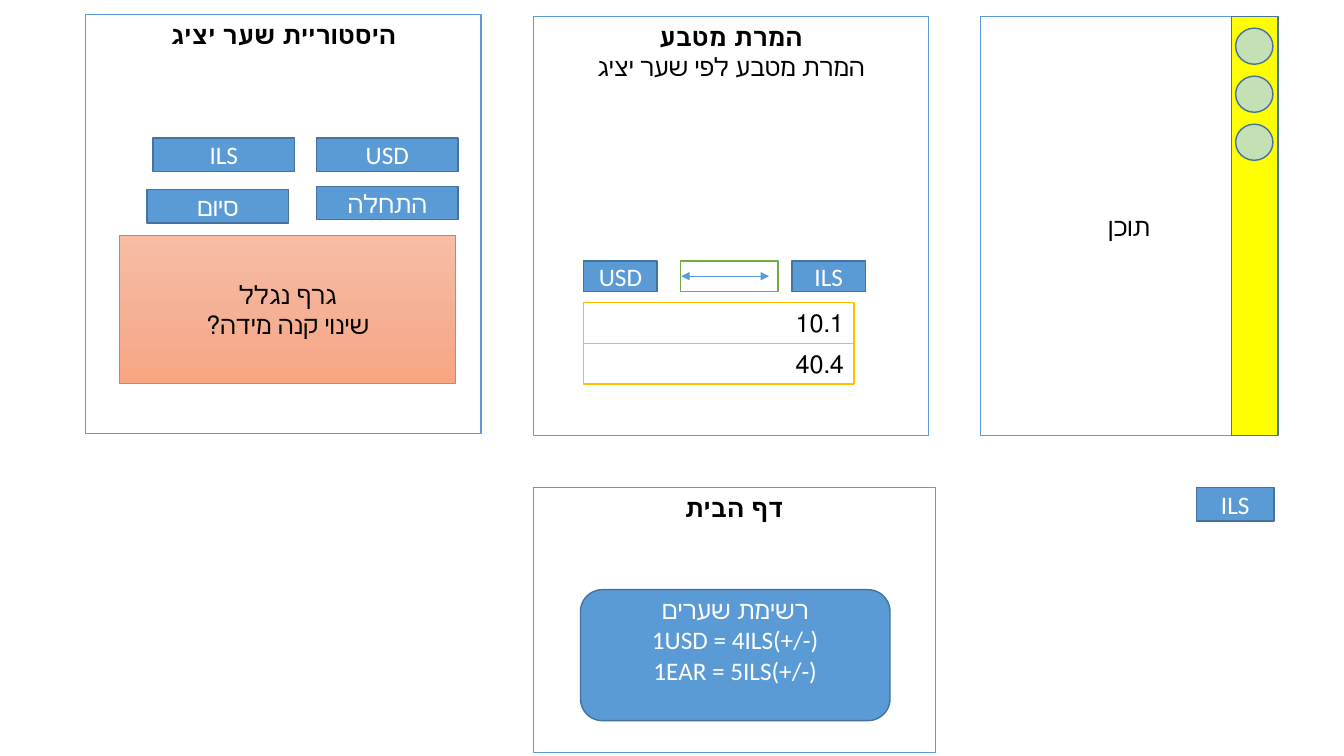
from copy import deepcopy

from lxml import etree
from pptx import Presentation
from pptx import util as u
from pptx.dml.color import RGBColor
from pptx.enum import lang, shapes, text
from pptx.oxml import ns

WHITE = RGBColor(0xFF, 0xFF, 0xFF)
BLACK = RGBColor(0x00, 0x00, 0x00)
BLUE = RGBColor(0x5B, 0x9B, 0xD5)
DARK_BLUE = RGBColor(0x43, 0x73, 0x9E)
YELLOW = RGBColor(0xFF, 0xFF, 0x00)
MINT = RGBColor(0xC5, 0xE0, 0xB4)
GREEN = RGBColor(0x70, 0xAD, 0x47)
GOLD = RGBColor(0xFF, 0xC0, 0x00)
ORANGE = RGBColor(0xED, 0x7D, 0x31)
GRAPH_TOP = RGBColor(0xF7, 0xBD, 0xA5)
GRAPH_MIDDLE = RGBColor(0xF5, 0xB1, 0x96)
GRAPH_BOTTOM = RGBColor(0xF8, 0xA5, 0x82)

KIND = shapes.MSO_SHAPE
TOP, MIDDLE = text.MSO_ANCHOR.TOP, text.MSO_ANCHOR.MIDDLE
CENTER, RIGHT = text.PP_ALIGN.CENTER, text.PP_ALIGN.RIGHT


class Wireframe:
    font = {"name": "Calibri", "size": u.Pt(18),
            "language_id": lang.MSO_LANGUAGE_ID.HEBREW}

    def __init__(self, s):
        self.s = s

    def shape(self, box, fill, line, kind=KIND.RECTANGLE, width=1):
        sp = self.s.shapes.add_shape(kind, *map(u.Cm, box))
        sp.shadow.inherit = False
        if fill is None:
            sp.fill.background()
        else:
            sp.fill.solid()
            sp.fill.fore_color.rgb = fill
        sp.line.color.rgb = line
        sp.line.width = u.Pt(width)
        return sp

    def label(self, sp, lines, color=BLACK, anchor=MIDDLE, align=CENTER, bold_first=False):
        tf = sp.text_frame
        tf.word_wrap = True
        tf.vertical_anchor = anchor
        for i, line in enumerate(lines):
            p = tf.add_paragraph() if i else tf.paragraphs[0]
            p.alignment = align
            if "=" not in line:
                p._p.get_or_add_pPr().set("rtl", "1")
            r = p.add_run()
            r.text = line
            for key, value in {**self.font, "bold": bold_first and i == 0}.items():
                setattr(r.font, key, value)
            r.font.color.rgb = color

    def panel(self, box, *lines):
        sp = self.shape(box, WHITE, BLUE)
        self.label(sp, lines, anchor=TOP, bold_first=True)

    def button(self, box, caption):
        self.label(self.shape(box, BLUE, DARK_BLUE), [caption], WHITE)

    def field(self, box, value):
        self.label(self.shape(box, WHITE, GOLD), [value], anchor=TOP, align=RIGHT)

    def graph(self, box, *lines):
        sp = self.shape(box, GRAPH_TOP, ORANGE, width=0.5)
        sp.fill.gradient()
        sp.fill.gradient_angle = 270
        gs = sp._element.spPr.find(".//" + ns.qn("a:gs"))
        gs.addnext(deepcopy(gs))
        stops = zip(sp.fill.gradient_stops, (0, 0.5, 1),
                    (GRAPH_TOP, GRAPH_MIDDLE, GRAPH_BOTTOM))
        for stop, position, color in stops:
            stop.position = position
            stop.color.rgb = color
        self.label(sp, lines)

    def rates(self, box, *lines):
        sp = self.shape(box, BLUE, DARK_BLUE, KIND.ROUNDED_RECTANGLE)
        self.label(sp, lines, WHITE)
        sp.text_frame.margin_bottom = u.Cm(0.9)

    def double_arrow(self, x1, x2, y):
        cx = self.s.shapes.add_connector(
            shapes.MSO_CONNECTOR.STRAIGHT, *map(u.Cm, (x1, y, x2, y)))
        cx.line.color.rgb = BLUE
        cx.line.width = u.Pt(0.5)
        ln = cx.line._get_or_add_ln()
        for end in ("a:headEnd", "a:tailEnd"):
            etree.SubElement(ln, ns.qn(end), type="triangle")
        etree.SubElement(cx._element.spPr, ns.qn("a:effectLst"))


prs = Presentation()
prs.slide_width, prs.slide_height = u.Cm(33.87), u.Cm(19.05)
w = Wireframe(prs.slides.add_slide(prs.slide_layouts[6]))

content = w.shape((24.71, 0.41, 7.49, 10.57), WHITE, BLUE)
w.label(content, ["תוכן"])
w.shape((31.04, 0.41, 1.17, 10.57), YELLOW, DARK_BLUE)
for i in range(3):
    w.shape((31.14, 0.71 + 1.21 * i, 0.94, 0.91), MINT, DARK_BLUE, KIND.OVAL)

w.panel((13.44, 0.41, 9.96, 10.57), "המרת מטבע", "המרת מטבע לפי שער יציג")
for x, currency in ((14.71, "USD"), (19.96, "ILS")):
    w.button((x, 6.58, 1.85, 0.76), currency)
w.double_arrow(17.17, 19.38, 6.96)
w.shape((17.15, 6.58, 2.46, 0.76), None, GREEN)
for i, amount in enumerate(("10.1", "40.4")):
    w.field((14.71, 7.62 + 1.03 * i, 6.81, 1.03), amount)

w.panel((2.16, 0.36, 9.96, 10.57), "היסטוריית שער יציג")
w.graph((3.02, 5.94, 8.46, 3.73), "גרף נגלל", "שינוי קנה מידה?")
for x, y, caption in ((7.98, 4.7, "התחלה"), (3.71, 4.78, "סיום"),
                      (7.98, 3.48, "USD"), (3.86, 3.48, "ILS")):
    w.button((x, y, 3.56, 0.84), caption)

w.panel((13.44, 12.29, 10.13, 6.68), "דף הבית")
w.button((30.15, 12.29, 1.96, 0.84), "ILS")
w.rates((14.63, 14.86, 7.8, 3.3), "רשימת שערים", "1USD = 4ILS(+/-)", "1EAR = 5ILS(+/-)")

prs.save("out.pptx")
